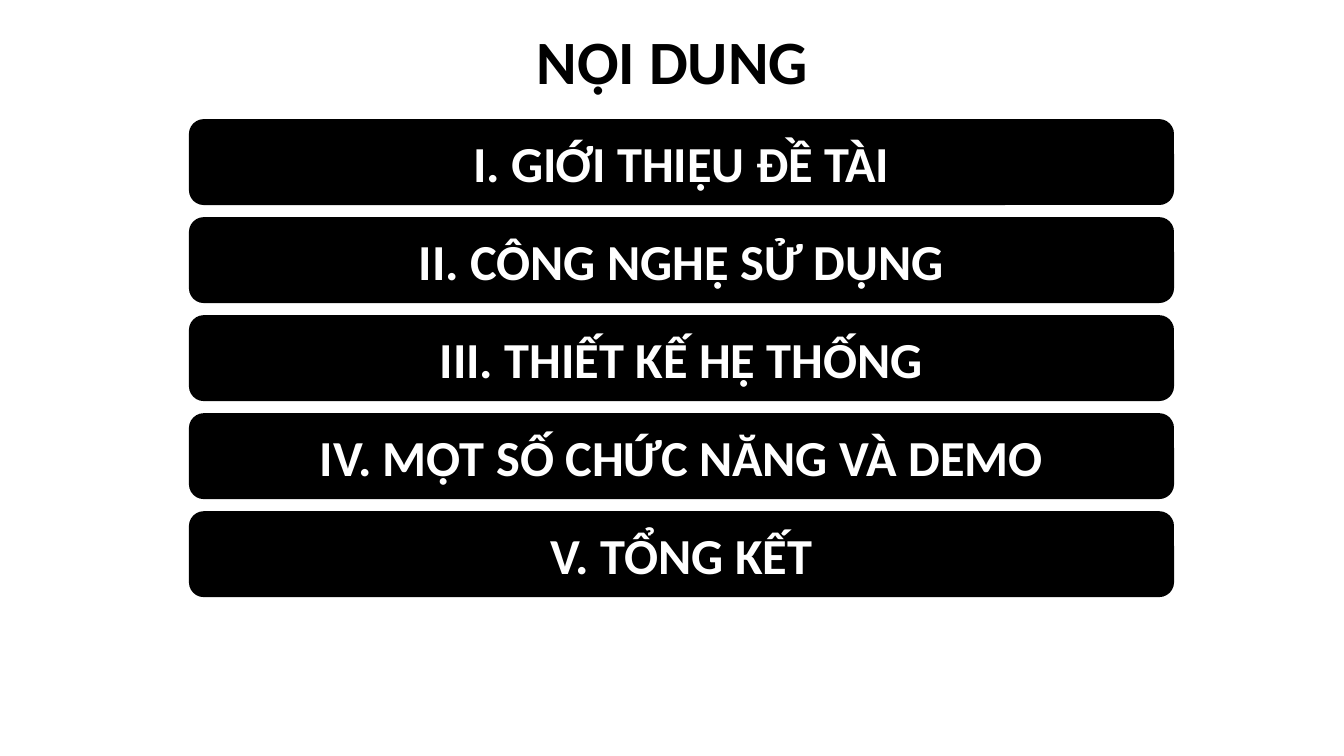
from dataclasses import dataclass

from pptx import Presentation
from pptx.dml.color import RGBColor
from pptx.enum.shapes import MSO_SHAPE
from pptx.enum.text import MSO_ANCHOR, PP_ALIGN
from pptx.util import Cm, Pt


@dataclass(frozen=True)
class Theme:
    font: str = "Calibri"
    dark: RGBColor = RGBColor(0, 0, 0)
    light: RGBColor = RGBColor(255, 255, 255)
    title_size: Pt = Pt(44)
    section_size: Pt = Pt(36)
    outline: Pt = Pt(1)


class AgendaSlide:
    """Draws agenda elements on one slide in a shared theme."""

    def __init__(self, slide, theme):
        self.slide = slide
        self.theme = theme

    def set_label(self, shape, text, size, color, line_spacing=1.0):
        frame = shape.text_frame
        frame.text = text
        frame.word_wrap = True
        frame.vertical_anchor = MSO_ANCHOR.MIDDLE
        paragraph = frame.paragraphs[0]
        paragraph.alignment = PP_ALIGN.CENTER
        paragraph.line_spacing = line_spacing
        font = paragraph.runs[0].font
        formats = {"name": self.theme.font, "size": size, "bold": True}
        for name, value in formats.items():
            setattr(font, name, value)
        font.color.rgb = color

    def title(self, text, left, top, width, height):
        shape = self.slide.shapes.title
        bounds = {"left": left, "top": top, "width": width, "height": height}
        for name, value in bounds.items():
            setattr(shape, name, Cm(value))
        self.set_label(shape, text, self.theme.title_size, self.theme.dark, 0.9)

    def section_bar(self, text, left, top, width, height):
        shape = self.slide.shapes.add_shape(
            MSO_SHAPE.ROUNDED_RECTANGLE, Cm(left), Cm(top), Cm(width), Cm(height)
        )
        shape.shadow.inherit = False
        for fill in (shape.fill, shape.line.fill):
            fill.solid()
            fill.fore_color.rgb = self.theme.dark
        shape.line.width = self.theme.outline
        self.set_label(shape, text, self.theme.section_size, self.theme.light)


def main():
    presentation = Presentation()
    presentation.slide_width = Cm(33.87)
    presentation.slide_height = Cm(19.05)
    title_only = presentation.slide_layouts.get_by_name("Title Only")
    agenda = AgendaSlide(presentation.slides.add_slide(title_only), Theme())

    agenda.title("NỘI DUNG", 2.34, 0.56, 29.21, 2.13)
    sections = (
        "I. GIỚI THIỆU ĐỀ TÀI",
        "II. CÔNG NGHỆ SỬ DỤNG",
        "III. THIẾT KẾ HỆ THỐNG",
        "IV. MỘT SỐ CHỨC NĂNG VÀ DEMO",
        "V. TỔNG KẾT",
    )
    first_top, pitch = 3.02, 2.47
    for index, section in enumerate(sections):
        agenda.section_bar(section, 4.78, first_top + index * pitch, 24.79, 2.13)

    presentation.save("out.pptx")


if __name__ == "__main__":
    main()
